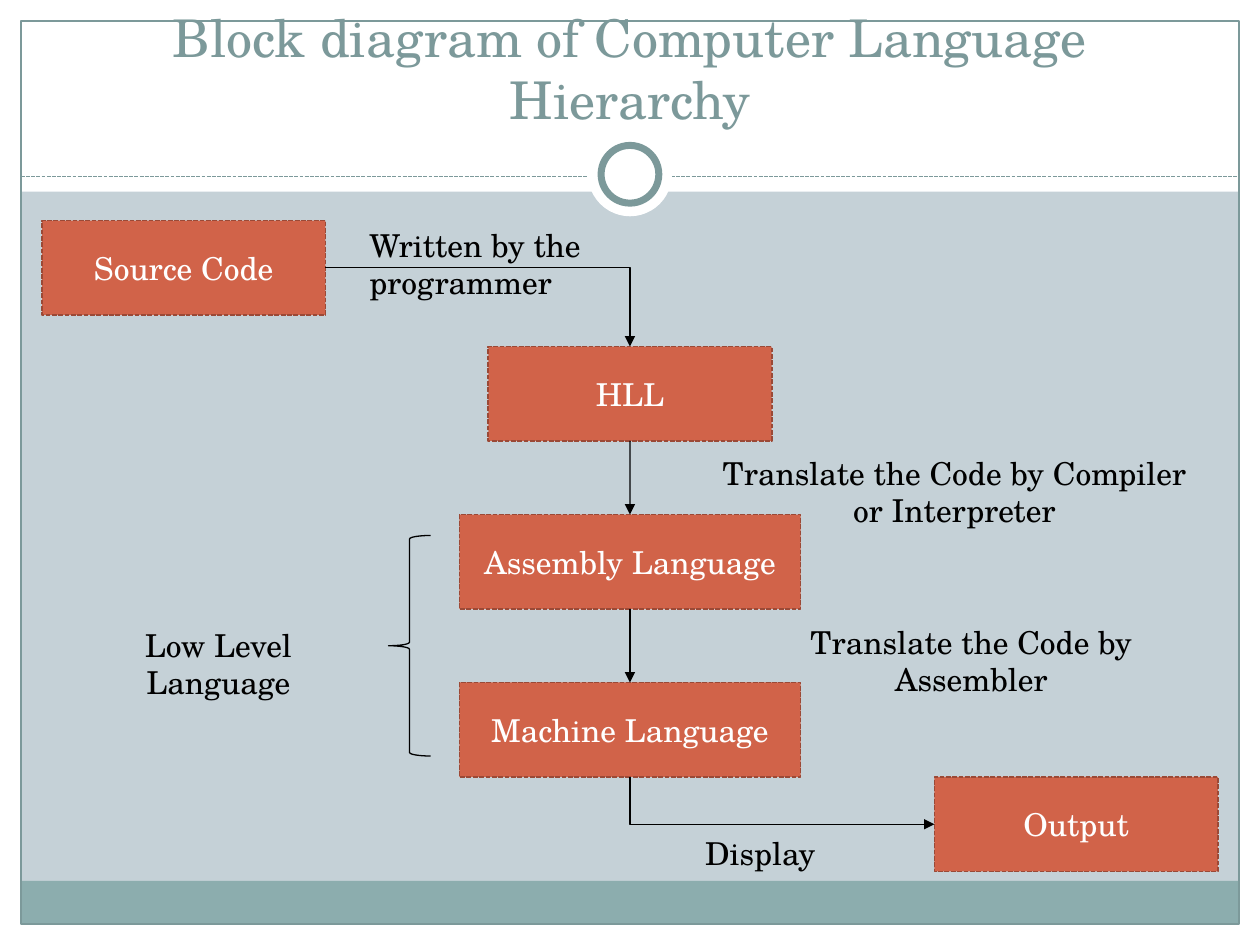
from dataclasses import dataclass
from typing import Optional

import lxml.etree
import pptx
import pptx.dml.color
import pptx.enum.dml
import pptx.enum.shapes
import pptx.enum.text
import pptx.oxml.ns
import pptx.util

SHAPE = pptx.enum.shapes.MSO_SHAPE
CONNECTOR = pptx.enum.shapes.MSO_CONNECTOR
ALIGN = pptx.enum.text.PP_ALIGN
ANCHOR = pptx.enum.text.MSO_ANCHOR
DASH = pptx.enum.dml.MSO_LINE
qn = pptx.oxml.ns.qn

UNIT = 1 / 12  # grid step in inches: the slide is 120 columns by 90 rows
COLUMNS, ROWS = 120, 90
MARGIN = 2  # white border around the framed area
TOP, LEFT, BOTTOM, RIGHT = range(4)


@dataclass(frozen=True)
class Theme:
    font: str = "TeX Gyre Schola"
    title_size: float = 29.7
    text_size: float = 18
    background: str = "C5D1D7"
    white: str = "FFFFFF"
    black: str = "000000"
    teal: str = "7C999A"
    footer: str = "8CADAE"
    box: str = "D16349"
    box_line: str = "9B4936"


@dataclass(frozen=True)
class Area:
    """A rectangle in grid columns and rows."""
    column: float
    row: float
    width: float
    height: float


@dataclass(frozen=True)
class Step:
    text: str
    column: float
    row: float
    width: float = 27
    height: float = 9


@dataclass(frozen=True)
class Label:
    text: str
    area: Area
    align: int = ALIGN.CENTER


THEME = Theme()

STEPS = [
    Step("Source Code", 4, 21),
    Step("HLL", 46.5, 33),
    Step("Assembly Language", 43.75, 49, 32.5),
    Step("Machine Language", 43.75, 65, 32.5),
    Step("Output", 89, 74),
]
# Sides where the arrow between each pair of neighbouring steps leaves and arrives.
ARROWS = [(RIGHT, TOP), (BOTTOM, TOP), (BOTTOM, TOP), (BOTTOM, LEFT)]
LABELS = [
    Label("Written by the programmer", Area(34, 20.9, 39.5, 4.8), ALIGN.LEFT),
    Label("Translate the Code by Compiler or Interpreter", Area(65.9, 42.6, 50, 8.5)),
    Label("Translate the Code by Assembler", Area(69.1, 58.7, 46.8, 4.8)),
    Label("Display", Area(57.8, 78.8, 29.2, 5)),
    Label("Low Level Language", Area(5.9, 59, 29.8, 4.8)),
]


def grid(value: float) -> int:
    return pptx.util.Inches(value * UNIT)


def place(area) -> tuple:
    return grid(area.column), grid(area.row), grid(area.width), grid(area.height)


def color(code: str):
    return pptx.dml.color.RGBColor.from_string(code)


def style_line(line, code: str, width: float = 0.75, dash: Optional[int] = None) -> None:
    line.color.rgb = color(code)
    line.width = pptx.util.Pt(width)
    if dash is not None:
        line.dash_style = dash


def add_figure(page, kind: int, area, fill: Optional[str] = None,
               line: Optional[str] = None, width: float = 0.75, dash: Optional[int] = None):
    figure = page.shapes.add_shape(kind, *place(area))
    figure.shadow.inherit = False
    if fill:
        figure.fill.solid()
        figure.fill.fore_color.rgb = color(fill)
    else:
        figure.fill.background()
    if line:
        style_line(figure.line, line, width, dash)
    else:
        figure.line.fill.background()
    return figure


def write(box, text: str, code: str, size: float, align: int, anchor: int) -> None:
    frame = box.text_frame
    frame.word_wrap = True
    frame.auto_size = pptx.enum.text.MSO_AUTO_SIZE.NONE
    frame.vertical_anchor = anchor
    para = frame.paragraphs[0]
    para.alignment = align
    span = para.add_run()
    span.text = text
    span.font.name = THEME.font
    span.font.size = pptx.util.Pt(size)
    span.font.color.rgb = color(code)


def add_line(page, kind: int, code: str, ends=(0, 0, 0, 0), dash: Optional[int] = None):
    connector = page.shapes.add_connector(kind, *map(grid, ends))
    style_line(connector.line, code, dash=dash)
    lxml.etree.SubElement(connector._element.spPr, qn("a:effectLst"))
    return connector


def add_arrow(page, start, end, start_side: int, end_side: int) -> None:
    """Join two boxes, turning one corner unless the sides face each other."""
    straight = (start_side, end_side) == (BOTTOM, TOP)
    arrow = add_line(page, CONNECTOR.STRAIGHT if straight else CONNECTOR.ELBOW, THEME.black)
    arrow.begin_connect(start, start_side)
    arrow.end_connect(end, end_side)
    properties = arrow._element.spPr
    lxml.etree.SubElement(properties.find(qn("a:ln")), qn("a:tailEnd"), type="triangle")
    if straight:
        return
    properties.find(qn("a:prstGeom")).set("prst", "bentConnector2")
    if start_side == BOTTOM:  # down first, then right: a turned and mirrored corner
        width, height = arrow.width, arrow.height
        shift = (width - height) // 2
        arrow.left, arrow.top = arrow.left + shift, arrow.top - shift
        arrow.width, arrow.height = height, width
        frame = properties.find(qn("a:xfrm"))
        frame.set("rot", "16200000")
        frame.set("flipH", "1")


def add_circle(page, diameter: float, **style) -> None:
    center_row = 16.6
    add_figure(page, SHAPE.OVAL, Area((COLUMNS - diameter) / 2, center_row - diameter / 2,
                                      diameter, diameter), fill=THEME.white, **style)


def add_backdrop(page) -> None:
    page.background.fill.solid()
    page.background.fill.fore_color.rgb = color(THEME.background)
    inner_width, inner_height = COLUMNS - 2 * MARGIN, ROWS - 2 * MARGIN
    for band in (Area(0, ROWS - MARGIN, COLUMNS, MARGIN), Area(0, 0, COLUMNS, 18.25),
                 Area(0, 0, MARGIN, ROWS), Area(COLUMNS - MARGIN, 0, MARGIN, ROWS)):
        add_figure(page, SHAPE.RECTANGLE, band, THEME.white)
    add_figure(page, SHAPE.RECTANGLE, Area(MARGIN, 83.9, inner_width, 4.1), THEME.footer)
    add_figure(page, SHAPE.RECTANGLE, Area(MARGIN, MARGIN, inner_width, inner_height),
               line=THEME.teal)
    add_line(page, CONNECTOR.STRAIGHT, THEME.teal,
             (MARGIN, 16.8, COLUMNS - MARGIN, 16.8), DASH.SQUARE_DOT)
    add_circle(page, 8)
    add_circle(page, 5.5, line=THEME.teal, width=4)


def add_title(page, text: str) -> None:
    title = page.shapes.title
    title.left, title.top, title.width, title.height = place(Area(4, 3, 112, 10))
    write(title, text, THEME.teal, THEME.title_size, ALIGN.CENTER, ANCHOR.BOTTOM)
    page.shapes._spTree.append(title._element)  # in front of the backdrop


def add_step(page, step: Step):
    box = add_figure(page, SHAPE.RECTANGLE, step, THEME.box, THEME.box_line, 0.9, DASH.SQUARE_DOT)
    write(box, step.text, THEME.white, THEME.text_size, ALIGN.CENTER, ANCHOR.MIDDLE)
    return box


def main() -> None:
    deck = pptx.Presentation()
    deck.slide_width, deck.slide_height = grid(COLUMNS), grid(ROWS)
    page = deck.slides.add_slide(deck.slide_layouts.get_by_name("Title Only"))
    add_backdrop(page)
    add_title(page, "Block diagram of Computer Language Hierarchy")
    boxes = [add_step(page, step) for step in STEPS]
    for start, end, sides in zip(boxes, boxes[1:], ARROWS):
        add_arrow(page, start, end, *sides)
    for label in LABELS:
        box = page.shapes.add_textbox(*place(label.area))
        write(box, label.text, THEME.black, THEME.text_size, label.align, ANCHOR.TOP)
    add_figure(page, SHAPE.LEFT_BRACE, Area(37, 51, 4, 21), line=THEME.black)
    deck.save("out.pptx")


if __name__ == "__main__":
    main()
